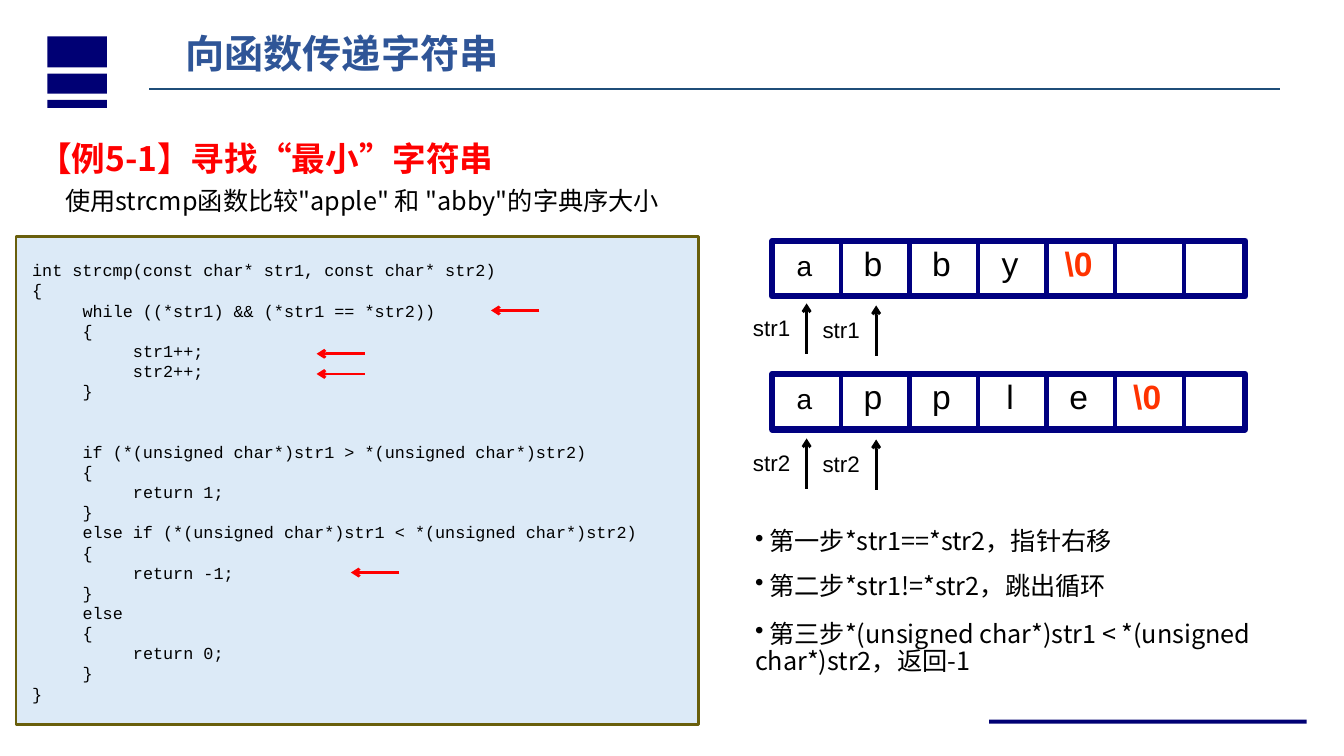
from lxml import etree
from pptx import Presentation
from pptx import util as u
from pptx.dml.color import RGBColor
from pptx.enum import shapes
from pptx.oxml.ns import qn

SANS, ARIAL, MONO = "Noto Sans CJK SC", "Arial", "Courier New"
NAVY, RED, BLACK = "000080", "FF0000", "000000"
DARK = "000074"


def tint(code):
    return RGBColor.from_string(code)


class Page:
    def __init__(self, slide):
        self.slide = slide
        self.shapes = slide.shapes

    def rect(self, x, y, w, h, fill=None, line=None, width=1):
        box = self.shapes.add_shape(shapes.MSO_SHAPE.RECTANGLE,
                                    *map(u.Inches, (x, y, w, h)))
        box.shadow.inherit = False
        if fill:
            box.fill.solid()
            box.fill.fore_color.rgb = tint(fill)
        else:
            box.fill.background()
        if line:
            box.line.color.rgb = tint(line)
            box.line.width = u.Pt(width)
        else:
            box.line.fill.background()

    def line(self, x1, y1, x2, y2, color, width, arrow=False):
        rule = self.shapes.add_connector(shapes.MSO_CONNECTOR.STRAIGHT,
                                         *map(u.Inches, (x1, y1, x2, y2)))
        rule.line.color.rgb = tint(color)
        rule.line.width = u.Pt(width)
        props = rule._element.spPr
        if arrow:
            etree.SubElement(props.find(qn("a:ln")), qn("a:tailEnd"), type="arrow")
        etree.SubElement(props, qn("a:effectLst"))

    def text(self, x, y, w, h, words, size, font=SANS, color=BLACK,
             bold=False, space=0.9, bullet=False):
        frame = self.shapes.add_textbox(*map(u.Inches, (x, y, w, h))).text_frame
        frame.word_wrap = True
        for i, row in enumerate(words.split("\n")):
            para = frame.paragraphs[0] if i == 0 else frame.add_paragraph()
            if row:
                para.add_run().text = row
            para.line_spacing = space
            para.font.size = u.Pt(size)
            para.font.bold = bold
            para.font.color.rgb = tint(color)
            para.font.name = font
            base = para._p.pPr.find(qn("a:defRPr"))
            etree.SubElement(base, qn("a:ea"), typeface=SANS)
            if bullet:
                mark = etree.Element(qn("a:buChar"), char="•")
                base.addprevious(mark)
        return frame.paragraphs[0]

    def cells(self, top, chars):
        """Draw a string as a row of memory cells."""
        left, pitch, wide, high, count = 7.66, 0.68, 4.69, 0.55, 7
        outer = self.shapes
        self.shapes = outer.add_group_shape().shapes
        self.rect(left, top, wide, high, line=NAVY, width=4.5)
        for i in range(1, count + 1):
            x = min(left + pitch * i, left + wide)
            self.line(x, top, x, top + high, NAVY, 3)
        # Letters sit on centred tab stops, one for each cell
        para = self.text(7.64, top + 0.02, 4.7, 0.46, "", 24, ARIAL)
        tabs = etree.Element(qn("a:tabLst"))
        para._p.pPr.find(qn("a:defRPr")).addprevious(tabs)
        for i, char in enumerate(chars):
            stop = u.Inches(0.24 + pitch * i)
            etree.SubElement(tabs, qn("a:tab"), pos=str(stop), algn="ctr")
            run = para.add_run()
            run.text = "\t" + char
            if i == 0:
                run.font.size = u.Pt(20)
            if char == "\\0":
                run.font.bold = True
                run.font.color.rgb = tint("FF3300")
        self.shapes = outer


CODE = """int strcmp(const char* str1, const char* str2)
{
\twhile ((*str1) && (*str1 == *str2))
\t{
\t\tstr1++;
\t\tstr2++;
\t}


\tif (*(unsigned char*)str1 > *(unsigned char*)str2)
\t{
\t\treturn 1;
\t}
\telse if (*(unsigned char*)str1 < *(unsigned char*)str2)
\t{
\t\treturn -1;
\t}
\telse
\t{
\t\treturn 0;
\t}
}"""


def main():
    deck = Presentation()
    deck.slide_width, deck.slide_height = u.Inches(13.33), u.Inches(7.5)
    page = Page(deck.slides.add_slide(deck.slide_layouts[6]))

    # Corner bars and foot rule
    for y, h in ((0.36, 0.31), (0.73, 0.2), (0.99, 0.08)):
        page.rect(0.47, y, 0.59, h, DARK)
    page.rect(9.81, 7.14, 3.15, 0.04, DARK)

    # Title and headings
    page.text(1.74, 0.29, 5.49, 0.97, "向函数传递字符串", 28, color="2F5597", bold=True)
    page.line(1.48, 0.88, 12.7, 0.88, "1F4E79", 1.25)
    page.text(0.28, 1.24, 10.44, 0.58, "【例5-1】寻找“最小”字符串", 24,
              color=RED, bold=True, space=1.2)
    page.text(0.55, 1.82, 6.67, 0.4,
              '使用strcmp函数比较"apple" 和 "abby"的字典序大小', 18)

    # Code panel with step arrows
    page.rect(0.16, 2.35, 6.77, 4.84, "DCEAF7", "695F0C", 2)
    page.text(0.22, 2.53, 6.71, 4.51, CODE, 12, MONO, space=u.Pt(14.4))
    for x, y in ((5.35, 3.08), (3.62, 3.51), (3.62, 3.71), (3.96, 5.68)):
        page.line(x, y, x - 0.48, y, RED, 2, arrow=True)

    # Strings in memory, each with its pointer before and after the move
    for name, top, chars, feet in (
            ("str1", 2.39, ["a", "b", "b", "y", "\\0"], (3.51, 3.53)),
            ("str2", 3.71, ["a", "p", "p", "l", "e", "\\0"], (4.85, 4.86))):
        page.cells(top, chars)
        for i, foot in enumerate(feet):
            x = 8 + 0.69 * i
            page.line(x, foot, x, foot - 0.5, BLACK, 2, arrow=True)
            page.text(x - 0.63, foot - 0.41, 0.64, 0.34, name, 16, ARIAL)

    # Steps
    for y, h, step in (
            (5.2, 0.49, " 第一步*str1==*str2，指针右移"),
            (5.64, 0.49, " 第二步*str1!=*str2，跳出循环"),
            (6.12, 0.7, " 第三步*(unsigned char*)str1 < *(unsigned char*)str2，返回-1")):
        page.text(7.39, y, 5.54, h, step, 18, bullet=True)

    deck.save("out.pptx")


if __name__ == "__main__":
    main()
